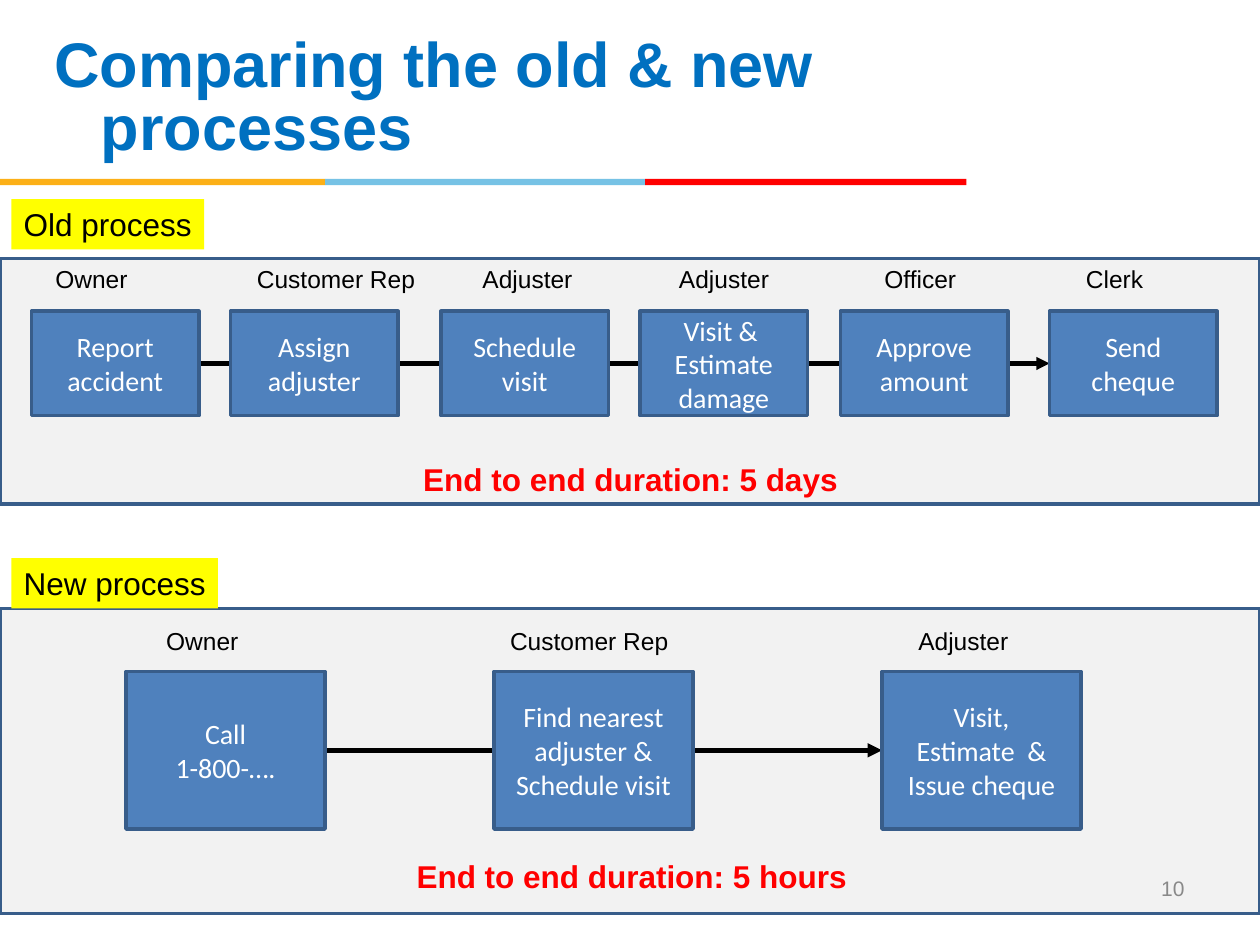
from dataclasses import dataclass

from lxml.etree import SubElement
from pptx import Presentation
from pptx.dml.color import RGBColor
from pptx.enum.shapes import MSO_CONNECTOR, MSO_SHAPE
from pptx.enum.text import MSO_ANCHOR, MSO_AUTO_SIZE, PP_ALIGN
from pptx.oxml.ns import qn
from pptx.util import Inches, Pt


@dataclass(frozen=True)
class Theme:
    """Colours, fonts and type sizes of the slide."""

    title: str = "0070C0"
    text: str = "000000"
    inverse: str = "FFFFFF"
    muted: str = "898989"
    result: str = "FF0000"
    tag: str = "FFFF00"
    panel: str = "F2F2F2"
    step: str = "4F81BD"
    outline: str = "385D8A"
    stripes: tuple = ("FCB017", "76C2E5", "FF0000")
    heading_font: str = "Arial"
    step_font: str = "Calibri"
    title_size: int = 36
    label_size: int = 18
    step_size: int = 16
    role_size: int = 14
    number_size: int = 12
    outline_width: float = 2


class ProcessSlide:
    """Draws process diagrams on one slide in one style."""

    def __init__(self, slide, theme):
        """Keep the slide and its theme."""
        self.slide = slide
        self.theme = theme

    def fill_text(self, shape, lines, size, color, font=None, bold=False,
                  align=PP_ALIGN.LEFT, **frame_format):
        """Fill a shape with formatted paragraphs and return them."""
        frame = shape.text_frame
        frame_values = {"word_wrap": True, "auto_size": MSO_AUTO_SIZE.NONE,
                        "vertical_anchor": MSO_ANCHOR.TOP, **frame_format}
        for name, value in frame_values.items():
            setattr(frame, name, value)
        font_values = {"name": font or self.theme.heading_font,
                       "size": Pt(size), "bold": bold}
        for index, line in enumerate(lines):
            paragraph = frame.add_paragraph() if index else frame.paragraphs[0]
            paragraph.alignment = align
            run = paragraph.add_run()
            run.text = line
            for name, value in font_values.items():
                setattr(run.font, name, value)
            run.font.color.rgb = RGBColor.from_string(color)
        return frame.paragraphs

    def title(self, text, left, top, width, height):
        """Place the title with a hanging indent."""
        shape = self.slide.shapes.title
        box = {"left": left, "top": top, "width": width, "height": height}
        for name, value in box.items():
            setattr(shape, name, Inches(value))
        paragraph = self.fill_text(shape, [text], self.theme.title_size, self.theme.title,
                                   bold=True, vertical_anchor=MSO_ANCHOR.MIDDLE)[0]
        paragraph.line_spacing = Pt(self.theme.title_size)
        properties = paragraph._p.get_or_add_pPr()
        properties.set("marL", str(Inches(0.37)))
        properties.set("indent", str(Inches(-0.37)))

    def rectangle(self, left, top, width, height, fill, outlined=True):
        """Add a filled rectangle, outlined or plain."""
        shape = self.slide.shapes.add_shape(
            MSO_SHAPE.RECTANGLE, Inches(left), Inches(top), Inches(width), Inches(height))
        shape.shadow.inherit = False
        shape.fill.solid()
        shape.fill.fore_color.rgb = RGBColor.from_string(fill)
        if outlined:
            shape.line.color.rgb = RGBColor.from_string(self.theme.outline)
            shape.line.width = Pt(self.theme.outline_width)
        else:
            shape.line.fill.background()
        return shape

    def stripe(self, top, edges):
        """Add the coloured rule under the title."""
        for left, right, color in zip(edges, edges[1:], self.theme.stripes):
            self.rectangle(left, top, right - left, 0.05, color, outlined=False)

    def panel(self, top, height):
        """Add the full-width background of a process."""
        self.rectangle(0, top, 10, height, self.theme.panel)

    def tag(self, text, top, width):
        """Add the highlighted name of a process."""
        shape = self.rectangle(0.09, top, width, 0.4, self.theme.tag, outlined=False)
        self.fill_text(shape, [text], self.theme.label_size, self.theme.text, word_wrap=False)

    def text_box(self, text, left, top, width, height, size, color, **text_format):
        """Add a text box with one paragraph and return the paragraph."""
        shape = self.slide.shapes.add_textbox(
            Inches(left), Inches(top), Inches(width), Inches(height))
        return self.fill_text(shape, [text], size, color, **text_format)[0]

    def roles(self, names, left, top, width, stops):
        """Add a row of role names set on tab stops."""
        paragraph = self.text_box("\t".join(names), left, top, width, 0.34,
                                  self.theme.role_size, self.theme.text, word_wrap=False)
        tab_list = SubElement(paragraph._p.get_or_add_pPr(), qn("a:tabLst"))
        for stop in stops:
            SubElement(tab_list, qn("a:tab"), pos=str(Inches(stop)), algn="l")

    def result(self, text, left, top, width):
        """Add the total duration of a process."""
        self.text_box(text, left, top, width, 0.4, self.theme.label_size,
                      self.theme.result, bold=True, align=PP_ALIGN.CENTER, word_wrap=False)

    def arrow(self, start, end, y, width):
        """Add a horizontal arrow."""
        connector = self.slide.shapes.add_connector(
            MSO_CONNECTOR.STRAIGHT, Inches(start), Inches(y), Inches(end), Inches(y))
        connector.line.color.rgb = RGBColor.from_string(self.theme.text)
        connector.line.width = Pt(width)
        SubElement(connector.line._get_or_add_ln(), qn("a:tailEnd"), type="triangle")
        SubElement(connector._element.spPr, qn("a:effectLst"))

    def flow(self, steps, top, width, height, arrow_width):
        """Add the steps of a process over one arrow."""
        lefts = [left for left, _ in steps]
        self.arrow(lefts[0] + width, lefts[-1], top + height / 2, arrow_width)
        for left, lines in steps:
            shape = self.rectangle(left, top, width, height, self.theme.step)
            self.fill_text(shape, lines, self.theme.step_size, self.theme.inverse,
                           font=self.theme.step_font, align=PP_ALIGN.CENTER,
                           vertical_anchor=MSO_ANCHOR.MIDDLE)


OLD_STEPS = [
    (0.25, ["Report accident"]),
    (1.83, ["Assign adjuster"]),
    (3.5, ["Schedule visit"]),
    (5.08, ["Visit & ", "Estimate damage"]),
    (6.67, ["Approve amount"]),
    (8.33, ["Send cheque"]),
]
NEW_STEPS = [
    (1, ["Call", "1-800-…."]),
    (3.92, ["Find nearest adjuster &", "Schedule visit"]),
    (7, ["Visit,", "Estimate  & Issue cheque"]),
]
OLD_ROLES = ["Owner", "Customer Rep", "Adjuster", "Adjuster", "Officer", "Clerk"]
NEW_ROLES = ["Owner", "Customer Rep", "Adjuster"]


def main():
    """Build and save the comparison slide."""
    presentation = Presentation()
    presentation.slide_width = Inches(10)
    presentation.slide_height = Inches(7.5)
    slide = presentation.slides.add_slide(presentation.slide_layouts[5])
    theme = Theme()
    page = ProcessSlide(slide, theme)

    page.title("Comparing the old & new processes", 0.33, 0.17, 6.92, 1.25)
    page.stripe(1.42, [0, 2.58, 5.12, 7.67])

    page.panel(2.05, 1.95)
    page.flow(OLD_STEPS, 2.47, 1.33, 0.83, 2.5)
    page.roles(OLD_ROLES, 0.34, 2.05, 8.88, [1.6, 3.39, 4.95, 6.58, 8.18])
    page.result("End to end duration: 5 days", 3.26, 3.6, 3.49)
    page.tag("Old process", 1.58, 1.53)

    page.panel(4.83, 2.42)
    page.flow(NEW_STEPS, 5.33, 1.58, 1.25, 2.75)
    page.roles(NEW_ROLES, 1.22, 4.92, 6.97, [2.73, 5.97])
    page.result("End to end duration: 5 hours", 3.21, 6.75, 3.61)
    page.tag("New process", 4.43, 1.64)

    page.text_box("10", 7.17, 6.85, 2.33, 0.4, theme.number_size, theme.muted,
                  align=PP_ALIGN.RIGHT, vertical_anchor=MSO_ANCHOR.MIDDLE)
    presentation.save("out.pptx")


if __name__ == "__main__":
    main()
